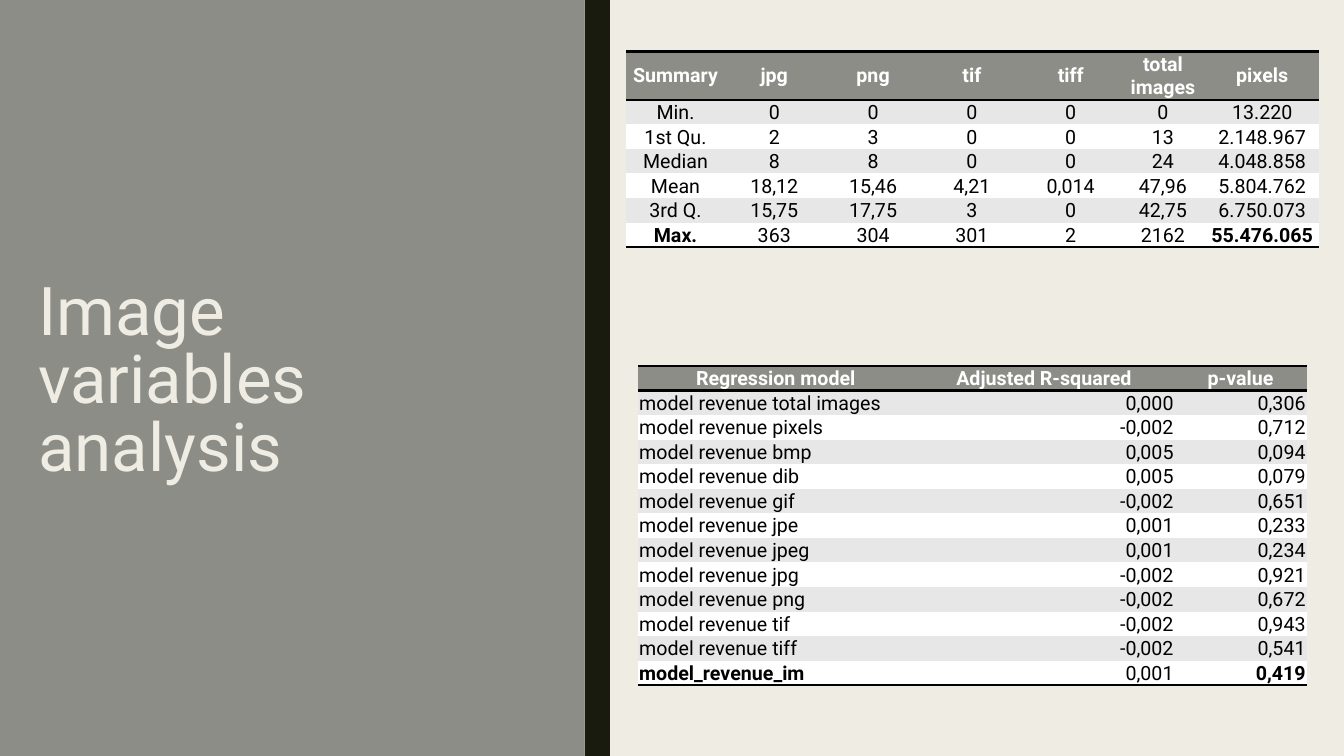
from lxml.etree import SubElement
from pptx import Presentation
from pptx.dml.color import RGBColor
from pptx.enum.shapes import MSO_SHAPE as Shape
from pptx.enum.text import MSO_ANCHOR as Anchor, PP_ALIGN as Align
from pptx.oxml.ns import qn
from pptx.util import Inches, Pt

FONT = "Roboto"
GREY, INK, CREAM = "8C8D86", "191B0E", "EFEDE3"
BLACK, WHITE, BAND = "000000", "FFFFFF", "E7E7E7"
NO_STYLE = "{2D5ABB26-0587-4C30-8999-92F81FD0307C}"


def paint(color_format, hex_color):
    color_format.rgb = RGBColor.from_string(hex_color)


def add_rule(cell, sides):
    properties = cell._tc.get_or_add_tcPr()
    for position, side in enumerate(sides):
        line = SubElement(properties, qn(f"a:{side}"), w=str(Pt(2)))
        ink = SubElement(line, qn("a:solidFill"))
        SubElement(ink, qn("a:srgbClr"), val=BLACK)
        properties.insert(position, line)


deck = Presentation()
deck.slide_width, deck.slide_height = Inches(13.33), Inches(7.5)
slide = deck.slides.add_slide(deck.slide_layouts[6])
slide.background.fill.solid()
paint(slide.background.fill.fore_color, CREAM)

for left, width, color in [(0, 5.8, GREY), (5.8, 0.25, INK)]:
    panel = slide.shapes.add_shape(
        Shape.RECTANGLE, Inches(left), 0, Inches(width), Inches(7.5))
    panel.shadow.inherit = False
    panel.fill.solid()
    paint(panel.fill.fore_color, color)
    panel.line.fill.background()

title = slide.shapes.add_textbox(
    Inches(0.28), Inches(0.1), Inches(5.15), Inches(7.4)).text_frame
title.word_wrap = True
title.vertical_anchor = Anchor.MIDDLE
heading = title.paragraphs[0]
heading.line_spacing = 0.84
for index, word in enumerate(["Image", "variables", "analysis"]):
    if index:
        heading.add_line_break()
    run = heading.add_run()
    run.text = word
    run.font.name, run.font.size = FONT, Pt(48)
    paint(run.font.color, CREAM)

summary = [
    ["Summary", "jpg", "png", "tif", "tiff", "total images", "pixels"],
    ["Min.", "0", "0", "0", "0", "0", "13.220"],
    ["1st Qu.", "2", "3", "0", "0", "13", "2.148.967"],
    ["Median", "8", "8", "0", "0", "24", "4.048.858"],
    ["Mean", "18,12", "15,46", "4,21", "0,014", "47,96", "5.804.762"],
    ["3rd Q.", "15,75", "17,75", "3", "0", "42,75", "6.750.073"],
    ["Max.", "363", "304", "301", "2", "2162", "55.476.065"],
]
regressions = [
    ["Regression model", "Adjusted R-squared", "p-value"],
    ["model revenue total images", "0,000", "0,306"],
    ["model revenue pixels", "-0,002", "0,712"],
    ["model revenue bmp", "0,005", "0,094"],
    ["model revenue dib", "0,005", "0,079"],
    ["model revenue gif", "-0,002", "0,651"],
    ["model revenue jpe", "0,001", "0,233"],
    ["model revenue jpeg", "0,001", "0,234"],
    ["model revenue jpg", "-0,002", "0,921"],
    ["model revenue png", "-0,002", "0,672"],
    ["model revenue tif", "-0,002", "0,943"],
    ["model revenue tiff", "-0,002", "0,541"],
    ["model_revenue_im", "0,001", "0,419"],
]
tables = [
    (summary, 6.21, 0.51, [0.98] * 5 + [0.85, 1.12], 0.48, [Align.CENTER] * 7),
    (regressions, 6.33, 3.63, [2.73, 2.59, 1.31], 0.24,
     [Align.LEFT, Align.RIGHT, Align.RIGHT]),
]

for rows, left, top, widths, header_height, alignments in tables:
    heights = [header_height] + [0.24] * (len(rows) - 1)
    table = slide.shapes.add_table(
        len(rows), len(widths), Inches(left), Inches(top),
        Inches(sum(widths)), Inches(sum(heights))).table
    table._tbl.tblPr.find(qn("a:tableStyleId")).text = NO_STYLE
    for column, width in zip(table.columns, widths):
        column.width = Inches(width)
    last_row, last_column = len(rows) - 1, len(widths) - 1
    for r, values in enumerate(rows):
        table.rows[r].height = Inches(heights[r])
        for c, value in enumerate(values):
            cell = table.cell(r, c)
            header = r == 0
            cell.margin_left = cell.margin_right = cell.margin_top = Inches(0.01)
            cell.margin_bottom = 0
            cell.vertical_anchor = Anchor.MIDDLE if header else Anchor.BOTTOM
            cell.fill.solid()
            paint(cell.fill.fore_color, GREY if header else BAND if r % 2 else WHITE)
            if header:
                add_rule(cell, ["lnT", "lnB"])
            elif r == last_row:
                add_rule(cell, ["lnB"])
            paragraph = cell.text_frame.paragraphs[0]
            paragraph.alignment = Align.CENTER if header else alignments[c]
            run = paragraph.add_run()
            run.text = value
            run.font.name, run.font.size = FONT, Pt(14)
            run.font.bold = header or (r == last_row and c in (0, last_column))
            paint(run.font.color, WHITE if header else BLACK)

deck.save("out.pptx")
